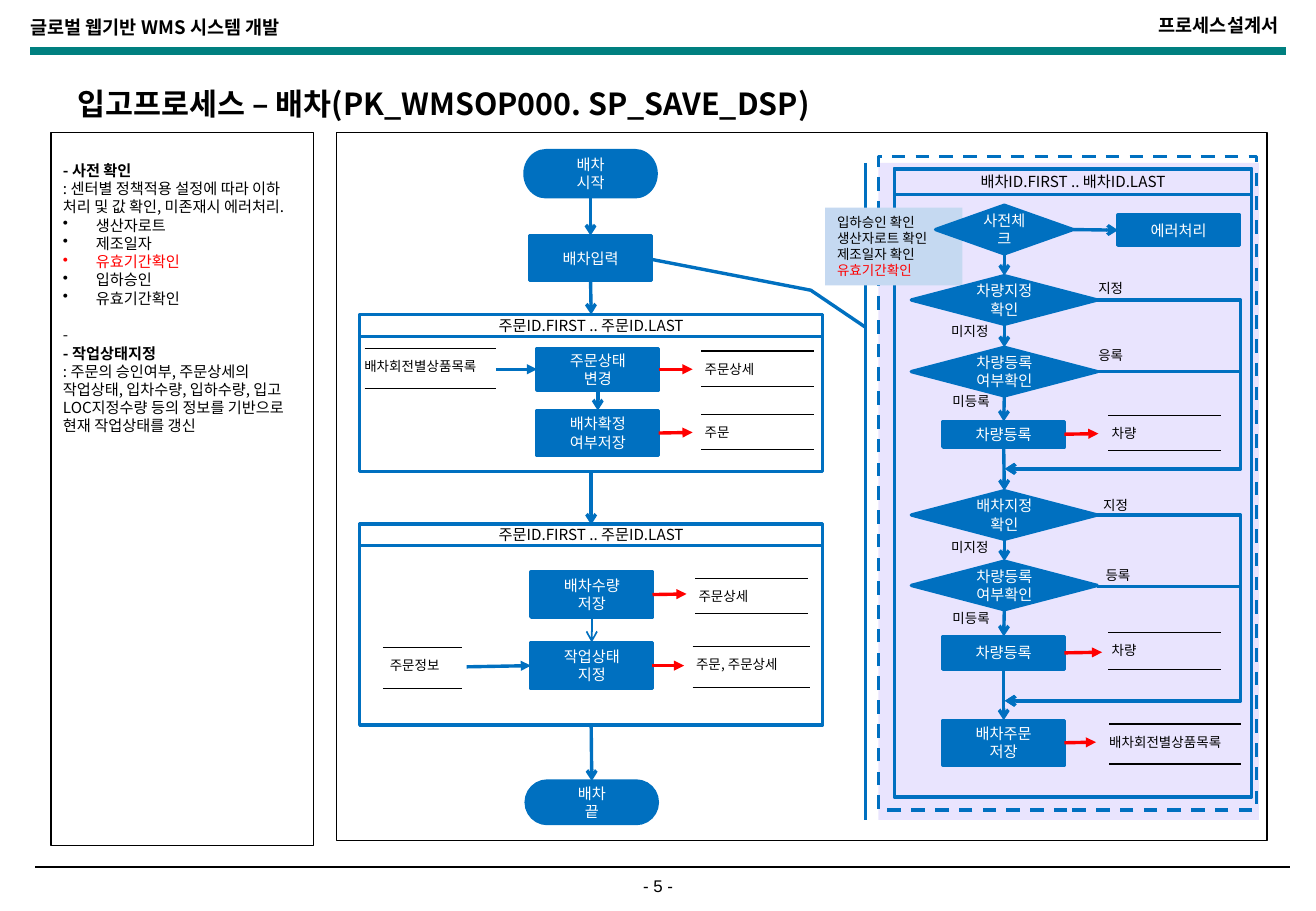
from dataclasses import dataclass
from typing import NamedTuple

from lxml.etree import SubElement
from pptx import Presentation
from pptx.dml.color import RGBColor
from pptx.enum.dml import MSO_LINE
from pptx.enum.shapes import MSO_CONNECTOR, MSO_SHAPE
from pptx.enum.text import MSO_ANCHOR, MSO_AUTO_SIZE, PP_ALIGN
from pptx.oxml.ns import qn
from pptx.util import Pt

SCALE = 9144  # EMU per px, 100 px to the inch
FONT = "Noto Sans CJK KR"
BLUE, RED, BLACK, WHITE = "0070C0", "FF0000", "000000", "FFFFFF"
TOP, LEFT, BOTTOM, RIGHT = range(4)
BOX, GEM, PILL = (MSO_SHAPE.FLOWCHART_PROCESS, MSO_SHAPE.FLOWCHART_DECISION,
                  MSO_SHAPE.FLOWCHART_TERMINATOR)


class Para(NamedTuple):
    text: str
    color: str = BLACK
    bold: bool = False
    bullet: bool = False
    before: int = 0


@dataclass
class Node:
    key: str
    x: int
    y: int
    w: int
    h: int
    text: str = ""
    kind: int = BOX
    fill: str | None = BLUE


class Store(NamedTuple):
    x: int
    y: int
    w: int
    h: int
    text: str
    pad: int = 7


class Link(NamedTuple):
    """Each end is (node key, side) or (x, y)."""
    begin: tuple
    end: tuple
    color: str = BLUE
    head: str = "arrow"
    width: float = 2


def px(*sizes: float) -> list[int]:
    return [round(size * SCALE) for size in sizes]


def rgb(code: str) -> RGBColor:
    return RGBColor.from_string(code)


def write(frame, paras: list[Para], size: int, align=PP_ALIGN.LEFT,
          font: str = FONT, lead: float = 1.2) -> None:
    frame.word_wrap = True
    frame.auto_size = MSO_AUTO_SIZE.NONE
    for i, item in enumerate(paras):
        para = frame.add_paragraph() if i else frame.paragraphs[0]
        para.text = item.text
        para.alignment = align
        para.line_spacing = Pt(size * lead)
        para.space_before = Pt(item.before)
        if item.bullet:
            props = para._p.get_or_add_pPr()
            props.set("marL", str(27 * SCALE))
            props.set("indent", str(-27 * SCALE))
            SubElement(props, qn("a:buChar")).set("char", "•")
        para.font.size, para.font.bold = Pt(size), item.bold
        para.font.color.rgb = rgb(item.color)
        para.font.name = font
        SubElement(para.font._rPr, qn("a:ea")).set("typeface", font)


def label(x: int, y: int, w: int, h: int, paras: list[Para], size: int = 8, **style) -> None:
    write(slide.shapes.add_textbox(*px(x, y, w, h)).text_frame, paras, size, **style)


def shape(kind, x: int, y: int, w: int, h: int, fill: str | None = None,
          line: str | None = BLUE, width: float = 2):
    item = slide.shapes.add_shape(kind, *px(x, y, w, h))
    item.shadow.inherit = False
    if fill:
        item.fill.solid()
        item.fill.fore_color.rgb = rgb(fill)
    else:
        item.fill.background()
    if line:
        item.line.color.rgb, item.line.width = rgb(line), Pt(width)
    else:
        item.line.fill.background()
    return item


def draw(node: Node) -> None:
    item = nodes[node.key] = shape(node.kind, node.x, node.y, node.w, node.h, node.fill)
    if node.text:
        ink = WHITE if node.fill else BLACK
        item.text_frame.vertical_anchor = MSO_ANCHOR.MIDDLE
        write(item.text_frame, [Para(row, ink) for row in node.text.split("\n")],
              9, PP_ALIGN.CENTER)


def line(x: int, y: int, x2: int, y2: int, color: str = BLACK, width: float = 0.75,
         head: str = "", kind=MSO_CONNECTOR.STRAIGHT):
    item = slide.shapes.add_connector(kind, *px(x, y, x2, y2))
    item.line.color.rgb, item.line.width = rgb(color), Pt(width)
    props = item._element.spPr
    if head:
        SubElement(props.find(qn("a:ln")), qn("a:tailEnd")).set("type", head)
    SubElement(props, qn("a:effectLst"))
    return item


def join(link: Link) -> None:
    spots = [(0, 0) if isinstance(end[0], str) else end for end in (link.begin, link.end)]
    item = line(*spots[0], *spots[1], link.color, link.width, link.head)
    for end, hook in ((link.begin, item.begin_connect), (link.end, item.end_connect)):
        if isinstance(end[0], str):
            hook(nodes[end[0]], end[1])


def bypass(y: int, y2: int, x: int = 903, x2: int = 827, far: int = 1021) -> None:
    """Route from a decision out to the right and back to the main flow."""
    item = line(x, y, x2, y2, BLUE, 2, "arrow", MSO_CONNECTOR.ELBOW)
    geom = item._element.spPr.find(qn("a:prstGeom"))
    geom.set("prst", "bentConnector4")
    guides = geom.find(qn("a:avLst"))
    for name, ratio in (("adj1", (x - far) / (x - x2)), ("adj2", 1)):
        guide = SubElement(guides, qn("a:gd"))
        guide.set("name", name)
        guide.set("fmla", f"val {round(ratio * 100000)}")


def store(item: Store) -> None:
    for y in (item.y, item.y + item.h):
        line(item.x, y, item.x + item.w, y)
    label(item.x - item.pad, item.y + 3, item.w + 22, 24, [Para(item.text)])


ORDER = "주문ID.FIRST .. 주문ID.LAST"
FRAMES = [
    Node("cars", 736, 139, 294, 517, fill=None),
    Node("cars head", 736, 139, 294, 21, "배차ID.FIRST .. 배차ID.LAST", fill=None),
    Node("order", 296, 259, 381, 129, fill=None),
    Node("order head", 296, 259, 381, 18, ORDER, fill=None),
    Node("save", 296, 432, 381, 165, fill=None),
    Node("save head", 296, 431, 381, 18, ORDER, fill=None),
]
STEPS = [
    Node("start", 432, 124, 108, 38, "배차\n시작", PILL),
    Node("input", 436, 194, 100, 37, "배차입력"),
    Node("state", 442, 287, 100, 34, "주문상태\n변경"),
    Node("fix", 442, 338, 100, 37, "배차확정\n여부저장"),
    Node("count", 437, 471, 100, 37, "배차수량\n저장"),
    Node("work", 437, 529, 100, 38, "작업상태\n지정"),
    Node("end", 433, 643, 108, 35, "배차\n끝", PILL),
    Node("check", 770, 169, 113, 40, "사전체크", GEM),
    Node("error", 920, 177, 100, 25, "에러처리"),
    Node("car set", 750, 227, 153, 40, "차량지정확인", GEM),
    Node("car known", 750, 286, 153, 40, "차량등록\n여부확인", GEM),
    Node("car add", 776, 347, 100, 21, "차량등록"),
    Node("run set", 750, 404, 153, 40, "배차지정확인", GEM),
    Node("run known", 750, 462, 153, 40, "차량등록\n여부확인", GEM),
    Node("run add", 776, 524, 100, 27, "차량등록"),
    Node("run save", 776, 593, 100, 37, "배차주문\n저장"),
]
STORES = [
    Store(300, 287, 108, 33, "배차회전별상품목록", 10),
    Store(577, 289, 93, 29, "주문상세"),
    Store(577, 341, 93, 29, "주문"),
    Store(572, 476, 93, 29, "주문상세"),
    Store(315, 533, 65, 34, "주문정보", 4),
    Store(570, 532, 97, 34, "주문, 주문상세"),
    Store(912, 342, 93, 29, "차량"),
    Store(912, 521, 93, 30, "차량"),
    Store(913, 596, 108, 33, "배차회전별상품목록", 10),
]
DOWN = [("start", "input"), ("input", "order"), ("order", "save"), ("save", "end"),
        ("state", "fix"), ("check", "car set"), ("car set", "car known"),
        ("car known", "car add"), ("car add", "run set"), ("run set", "run known"),
        ("run known", "run add"), ("run add", "run save")]
WRITES = [("state", 570, 304), ("fix", 570, 356), ("count", 565, 489), ("work", 563, 548),
          ("car add", 904, 357), ("run add", 907, 537), ("run save", 902, 611)]
LINKS = [Link((a, BOTTOM), (b, TOP)) for a, b in DOWN]
LINKS += [Link((key, RIGHT), (x, y), RED, "triangle") for key, x, y in WRITES]
LINKS += [
    Link(("count", BOTTOM), ("work", TOP), width=1),
    Link(("check", RIGHT), ("error", LEFT)),
    Link((408, 304), ("state", LEFT), head="triangle"),
    Link((384, 549), ("work", LEFT), head="triangle"),
]
LABELS = [(894, 226, "지정"), (894, 281, "응록"), (898, 404, "지정"), (900, 462, "등록"),
          (773, 261, "미지정"), (774, 319, "미등록"), (773, 439, "미지정"), (774, 497, "미등록")]
NOTES = [
    Para("- 사전 확인", bold=True),
    Para(": 센터별 정책적용 설정에 따라 이하 처리 및 값 확인, 미존재시 에러처리."),
    Para("생산자로트", bullet=True),
    Para("제조일자", bullet=True),
    Para("유효기간확인", RED, bullet=True),
    Para("입하승인", bullet=True),
    Para("유효기간확인", bullet=True),
    Para("-", before=11),
    Para("- 작업상태지정", bold=True),
    Para(": 주문의 승인여부, 주문상세의 작업상태, 입차수량, 입하수량, "
         "입고LOC지정수량 등의 정보를 기반으로 현재 작업상태를 갱신"),
]
MEMO = [Para("입하승인 확인"), Para("생산자로트 확인"), Para("제조일자 확인"), Para("유효기간확인", RED)]

deck = Presentation()
deck.slide_width, deck.slide_height = px(1083, 750)
slide = deck.slides.add_slide(deck.slide_layouts[5])
nodes: dict = {}

title = slide.shapes.title
title.left, title.top, title.width, title.height = px(54, 40, 975, 54)
title.text_frame.vertical_anchor = MSO_ANCHOR.MIDDLE
write(title.text_frame, [Para("입고프로세스 – 배차(PK_WMSOP000. SP_SAVE_DSP)", bold=True)],
      18, lead=2.64)
label(15, 8, 526, 37, [Para("글로벌 웹기반 WMS 시스템 개발", bold=True)], 11)
label(709, 7, 353, 37, [Para("프로세스설계서", bold=True)], 11, align=PP_ALIGN.RIGHT)
line(25, 42, 1058, 42, "008080", 4.5)
line(29, 714, 1062, 714, width=1)
label(495, 716, 93, 27, [Para("- 5 -")], 10, align=PP_ALIGN.CENTER, font="Arial")

shape(MSO_SHAPE.RECTANGLE, 277, 109, 766, 583, None, BLACK, 1)
shape(MSO_SHAPE.RECTANGLE, 42, 109, 216, 587, WHITE, BLACK, 0.75)
label(42, 128, 207, 416, NOTES, 9)

panel = shape(MSO_SHAPE.LINE_CALLOUT_2_ACCENT_BAR, 723, 134, 313, 541, "947CFC")
for i, ratio in enumerate((0.25, -0.035, 0.194, -0.178, 0.145, -0.615)):
    panel.adjustments[i] = ratio
tint = panel._element.spPr.find(qn("a:solidFill"))[0]
SubElement(tint, qn("a:alpha")).set("val", "20000")
shape(MSO_SHAPE.RECTANGLE, 723, 129, 311, 538).line.dash_style = MSO_LINE.DASH

for node in FRAMES:
    draw(node)
memo = shape(MSO_SHAPE.RECTANGLE, 679, 171, 113, 64, "C5D9F1", None)
memo.text_frame.vertical_anchor = MSO_ANCHOR.TOP
write(memo.text_frame, MEMO, 8)
for node in STEPS:
    draw(node)
for item in STORES:
    store(item)
for link in LINKS:
    join(link)
for y, y2 in ((247, 386), (306, 386), (424, 577), (483, 577)):
    bypass(y, y2)
for x, y, text in LABELS:
    label(x, y, 73, 24, [Para(text)])

deck.save("out.pptx")
